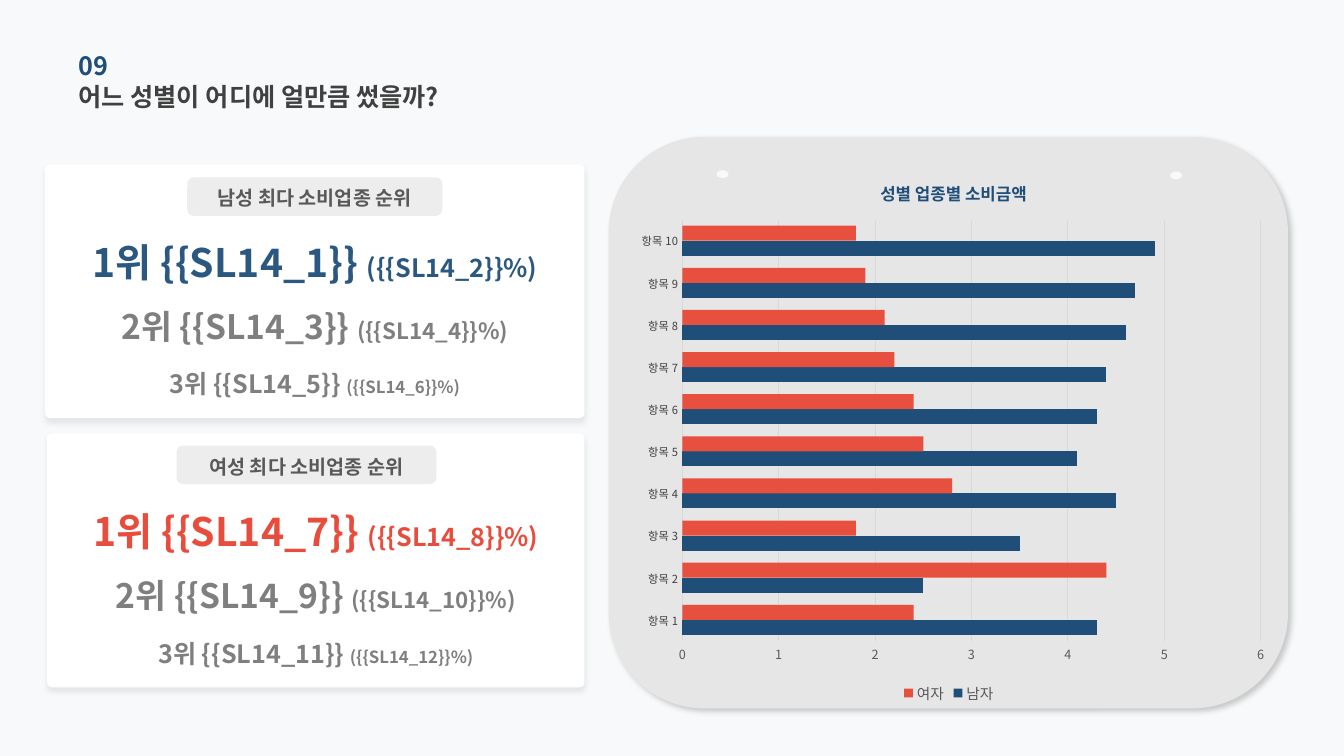
"""Build the slide that compares spending by gender and business type."""
from typing import NamedTuple

from lxml import etree
from pptx import Presentation
from pptx.chart.chart import Chart
from pptx.chart.data import CategoryChartData
from pptx.dml.color import RGBColor
from pptx.enum import chart as charts, shapes, text
from pptx.oxml import ns
from pptx.shapes.autoshape import Shape
from pptx.shapes.shapetree import GroupShapes, SlideShapes
from pptx.slide import Slide
from pptx.text.text import Font
from pptx.util import Cm, Pt

Canvas = SlideShapes | GroupShapes
FONT = "Noto Sans CJK KR"
PAPER = RGBColor(0xF8, 0xF9, 0xFA)
PANEL = RGBColor(0xE7, 0xE6, 0xE6)
WHITE = RGBColor(0xFF, 0xFF, 0xFF)
BLACK = RGBColor(0x00, 0x00, 0x00)
PILL = RGBColor(0xD0, 0xCE, 0xCE)
GRID = RGBColor(0xD9, 0xD9, 0xD9)
DARK = RGBColor(0x40, 0x40, 0x40)
TEXT = RGBColor(0x59, 0x59, 0x59)
GRAY = RGBColor(0x7F, 0x7F, 0x7F)
NAVY = RGBColor(0x1F, 0x4E, 0x79)
BLUE = RGBColor(0x2B, 0x58, 0x80)
RED = RGBColor(0xE7, 0x4C, 0x3C)
ROUNDED = shapes.MSO_SHAPE.ROUNDED_RECTANGLE


class Area(NamedTuple):
    left: float
    top: float
    width: float
    height: float


class Shadow(NamedTuple):
    opacity: int
    angle: int


class Rank(NamedTuple):
    offset: float
    height: float
    name_size: int
    share_size: int


class Card(NamedTuple):
    area: Area
    pill: Area
    title: str
    accent: RGBColor
    first_field: int


class Series(NamedTuple):
    name: str
    values: tuple[float, ...]
    color: RGBColor
    opacity: int


RANKS = (Rank(1.85, 1.22, 28, 18), Rank(3.02, 2.13, 24, 16), Rank(4.47, 2.13, 18, 12))
CARDS = (
    Card(Area(1.14, 4.14, 13.59, 6.4), Area(4.72, 4.47, 6.43, 0.97), "남성 최다 소비업종 순위", BLUE, 1),
    Card(Area(1.19, 10.92, 13.54, 6.4), Area(4.45, 11.23, 6.55, 0.97), "여성 최다 소비업종 순위", RED, 7),
)
SERIES = (
    Series("남자", (4.3, 2.5, 3.5, 4.5, 4.1, 4.3, 4.4, 4.6, 4.7, 4.9), NAVY, 100),
    Series("여자", (2.4, 4.4, 1.8, 2.8, 2.5, 2.4, 2.2, 2.1, 1.9, 1.8), RED, 98),
)


def style_font(font: Font, color: RGBColor, size: float | None = None, bold: bool = False) -> None:
    font.name, font.bold, font.color.rgb = FONT, bold, color
    if size:
        font.size = Pt(size)
    etree.SubElement(font._rPr, ns.qn("a:ea"), typeface=FONT)


def set_opacity(color: etree._Element, percent: int) -> None:
    etree.SubElement(color, ns.qn("a:alpha"), val=str(percent * 1000))


def add_panel(canvas: Canvas, kind: shapes.MSO_SHAPE, area: Area, fill: RGBColor,
              shadow: Shadow | None = None) -> Shape:
    panel = canvas.add_shape(kind, *map(Cm, area))
    panel.shadow.inherit = False
    panel.fill.solid()
    panel.fill.fore_color.rgb = fill
    panel.line.fill.background()
    if shadow:
        effects = panel._element.spPr.find(ns.qn("a:effectLst"))
        outer = etree.SubElement(effects, ns.qn("a:outerShdw"), blurRad=str(Pt(4)), dist=str(Pt(3)),
                                 dir=str(shadow.angle * 60000), algn="t", rotWithShape="0")
        set_opacity(etree.SubElement(outer, ns.qn("a:srgbClr"), val=str(BLACK)), shadow.opacity)
    return panel


def add_label(canvas: Canvas, area: Area, spans: dict[str, int], color: RGBColor,
              align: text.PP_ALIGN = text.PP_ALIGN.CENTER) -> None:
    frame = canvas.add_textbox(*map(Cm, area)).text_frame
    frame.word_wrap = True
    frame.vertical_anchor = text.MSO_ANCHOR.MIDDLE
    frame.margin_left = frame.margin_right = frame.margin_top = frame.margin_bottom = 0
    para = frame.paragraphs[0]
    para.alignment = align
    style_font(para.font, color, bold=True)
    for wording, size in spans.items():
        span = para.add_run()
        span.text = wording
        span.font.size = Pt(size)


def add_card(page: Slide, card: Card) -> None:
    group = page.shapes.add_group_shape().shapes
    area, pill = card.area, card.pill
    add_panel(group, ROUNDED, area, WHITE, Shadow(8, 90)).adjustments[0] = 0.02
    for index, rank in enumerate(RANKS):
        field = card.first_field + 2 * index
        spans = {f"{index + 1}위 {{{{SL14_{field}}}}} ": rank.name_size,
                 f"({{{{SL14_{field + 1}}}}}%)": rank.share_size}
        line = Area(area.left, area.top + rank.offset, area.width, rank.height)
        add_label(group, line, spans, GRAY if index else card.accent)
    badge = add_panel(group, ROUNDED, pill, PILL)
    set_opacity(badge._element.spPr.find(ns.qn("a:solidFill"))[0], 36)
    heading = Area(pill.left + 0.27, pill.top, pill.width - 0.54, 1.04)
    add_label(group, heading, {card.title: 14}, TEXT)


def place(parent: etree._Element, index: int, **values: float | str) -> None:
    layout = parent.find(ns.qn("c:layout"))
    if layout is None:
        layout = etree.Element(ns.qn("c:layout"))
        parent.insert(index, layout)
    manual = etree.SubElement(layout, ns.qn("c:manualLayout"))
    for tag, value in values.items():
        etree.SubElement(manual, ns.qn(f"c:{tag}"), val=str(value))


def style_axes(chart: Chart) -> None:
    kinds, values = chart.category_axis, chart.value_axis
    for axis, color, size in ((kinds, DARK, 8), (values, TEXT, 9)):
        axis.major_tick_mark = axis.minor_tick_mark = charts.XL_TICK_MARK.NONE
        style_font(axis.tick_labels.font, color, size)
    values.minimum_scale, values.maximum_scale, values.major_unit = 0, 6, 1
    values.format.line.fill.background()
    for line in (kinds.format.line, values.major_gridlines.format.line):
        line.color.rgb, line.width = GRID, Pt(0.75)


def add_spending_chart(page: Slide, area: Area) -> None:
    data = CategoryChartData(number_format="General")
    data.categories = [f"항목 {number}" for number in range(1, 11)]
    for series in SERIES:
        data.add_series(series.name, series.values)
    chart = page.shapes.add_chart(charts.XL_CHART_TYPE.BAR_CLUSTERED, *map(Cm, area), data).chart
    chart.font.name, chart.font.size, chart.font.color.rgb = "Calibri", Pt(10), BLACK
    plot = chart.plots[0]
    plot.gap_width, plot.overlap, plot.vary_by_categories = 80, 0, False
    for bars, series in zip(plot.series, SERIES):
        bars.format.fill.solid()
        bars.format.fill.fore_color.rgb = series.color
        set_opacity(bars._element.spPr.find(ns.qn("a:solidFill"))[0], series.opacity)
    style_axes(chart)
    chart.has_legend = True
    chart.legend.position = charts.XL_LEGEND_POSITION.BOTTOM
    chart.legend.include_in_layout = False
    style_font(chart.legend.font, TEXT, 10.5)
    title = chart.chart_title
    title.text_frame.text = "성별 업종별 소비금액"
    style_font(title.text_frame.paragraphs[0].font, NAVY, 12, True)
    place(title._element, 1, xMode="edge", yMode="edge", x=0.39, y=0.04)
    place(chart._chartSpace.chart.plotArea, 0, layoutTarget="inner", xMode="edge", yMode="edge",
          x=0.09, y=0.12, w=0.89, h=0.76)


deck = Presentation()
deck.slide_width, deck.slide_height = Cm(33.87), Cm(19.05)
page = deck.slides.add_slide(deck.slide_layouts[6])
page.background.fill.solid()
page.background.fill.fore_color.rgb = PAPER
add_panel(page.shapes, ROUNDED, Area(15.34, 3.45, 17.12, 14.4), PANEL, Shadow(20, 45))
for top, wording, color in ((1.91, "어느 성별이 어디에 얼만큼 썼을까?", DARK), (1.12, "09", NAVY)):
    add_label(page.shapes, Area(1.98, top, 11.48, 1.04), {wording: 18}, color, text.PP_ALIGN.LEFT)
for left, top in ((18.06, 4.29), (29.49, 4.32)):
    add_panel(page.shapes, shapes.MSO_SHAPE.OVAL, Area(left, top, 0.3, 0.2), PAPER)
for card in CARDS:
    add_card(page, card)
add_spending_chart(page, Area(15.72, 3.86, 16.38, 13.97))
deck.save("out.pptx")
